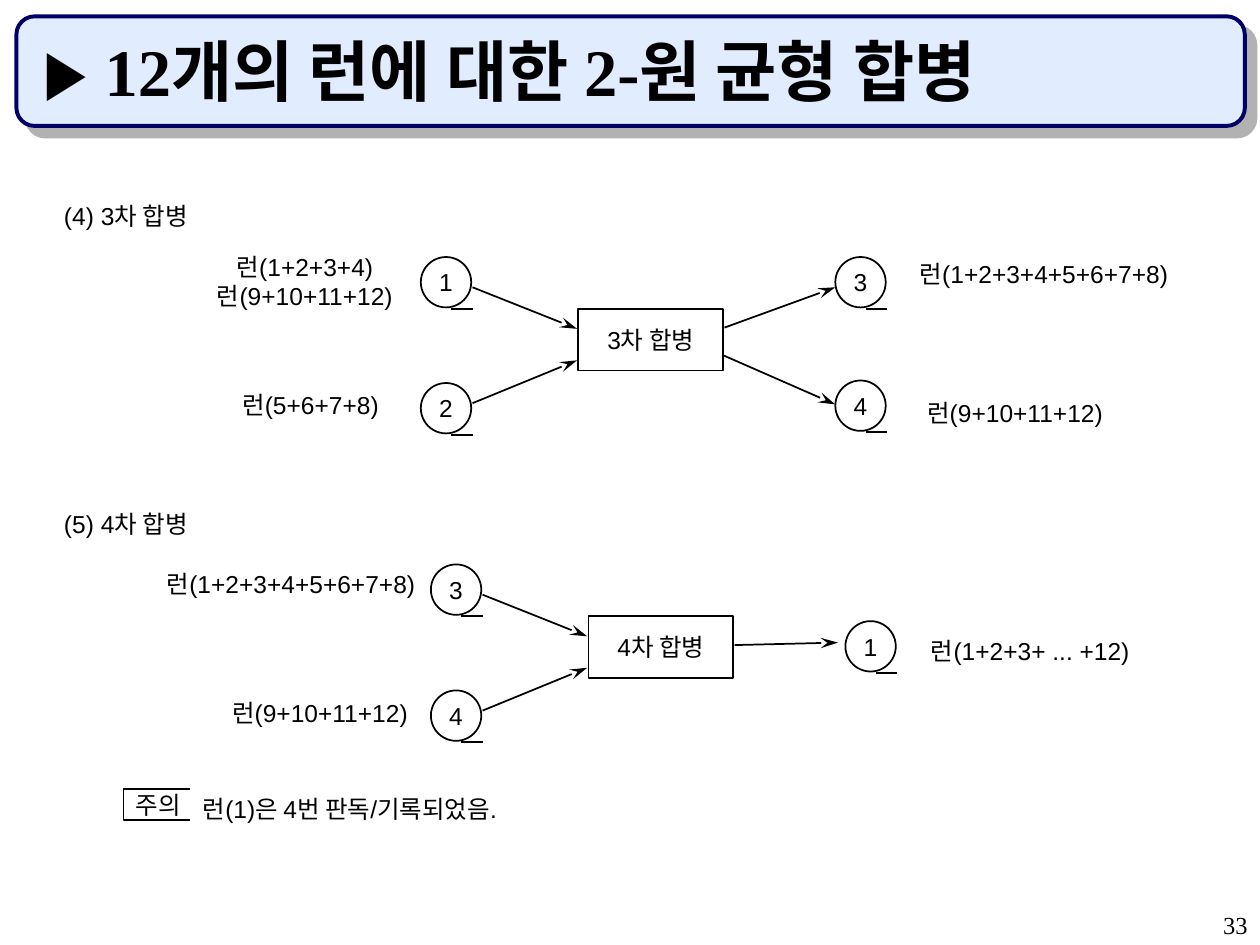
import pptx
import pptx.util
import pptx.dml.color
import pptx.enum.shapes
import pptx.enum.text
import pptx.oxml
import pptx.oxml.ns
import lxml.etree

Inches, Pt = pptx.util.Inches, pptx.util.Pt
SHAPE = pptx.enum.shapes.MSO_SHAPE
ALIGN = pptx.enum.text.PP_ALIGN
ANCHOR = pptx.enum.text.MSO_ANCHOR
LEFT, CENTER, RIGHT = ALIGN.LEFT, ALIGN.CENTER, ALIGN.RIGHT
BLACK, WHITE = "000000", "FFFFFF"

# Content
TITLE = "▶ 12개의 런에 대한 2-원 균형 합병"
PAGE = "33"
NOTE_TAG = "주의"
NOTE = "런(1)은 4번 판독/기록되었음."

# Labels: text, left, top, width, height, alignment
LABELS = [
    ("(4) 3차 합병", 0.41, 1.55, 1.24, 0.33, LEFT),
    ("런(1+2+3+4)\n런(9+10+11+12)", 1.59, 1.95, 1.66, 0.57, CENTER),
    ("런(5+6+7+8)", 1.8, 3.05, 1.33, 0.33, CENTER),
    ("런(1+2+3+4+5+6+7+8)", 7.2, 2.01, 2.22, 0.33, LEFT),
    ("런(9+10+11+12)", 7.26, 3.11, 1.66, 0.33, LEFT),
    ("(5) 4차 합병", 0.41, 3.99, 1.24, 0.33, LEFT),
    ("런(1+2+3+4+5+6+7+8)", 1.2, 4.47, 2.22, 0.33, CENTER),
    ("런(9+10+11+12)", 1.71, 5.49, 1.66, 0.33, CENTER),
    ("런(1+2+3+ ... +12)", 7.29, 5, 1.83, 0.33, LEFT),
]

# Merge stages; tapes and arrows are measured from the stage origin
STAGES = [
    dict(origin=(3.34, 2.04), name="3차 합병", inputs=("1", "2"),
         outputs=[("3", 3.29, 0), ("4", 3.29, 0.98)],
         out_arrows=[(2.41, 0.56, 3.29, 0.24), (2.4, 0.78, 3.29, 1.17)]),
    dict(origin=(3.42, 4.48), name="4차 합병", inputs=("3", "4"),
         outputs=[("1", 3.29, 0.45)],
         out_arrows=[(2.41, 0.64, 3.23, 0.62)]),
]
IN_ARROWS = [(0.41, 0.24, 1.24, 0.57), (0.41, 1.16, 1.24, 0.82)]
TAPE_SIZE, INPUT_GAP = 0.4, 1.0


def rgb(color):
    return pptx.dml.color.RGBColor.from_string(color)


def write(sp, text, align=CENTER, font="Arial", size=14, bold=False,
          anchor=ANCHOR.MIDDLE, wrap=False):
    tf = sp.text_frame
    tf.text = text
    tf.word_wrap = wrap
    tf.vertical_anchor = anchor
    for p in tf.paragraphs:
        p.alignment = align
        for r in p.runs:
            r.font.name, r.font.size, r.font.bold = font, Pt(size), bold
            r.font.color.rgb = rgb(BLACK)


def add_text(slide, text, x, y, w, h, align=LEFT, anchor=ANCHOR.TOP, **style):
    sp = slide.shapes.add_textbox(Inches(x), Inches(y), Inches(w), Inches(h))
    write(sp, text, align, anchor=anchor, **style)
    return sp


def add_box(slide, kind, x, y, w, h, fill=None, line=BLACK, width=1):
    sp = slide.shapes.add_shape(kind, Inches(x), Inches(y), Inches(w), Inches(h))
    sp.shadow.inherit = False
    if fill:
        sp.fill.solid()
        sp.fill.fore_color.rgb = rgb(fill)
    else:
        sp.fill.background()
    sp.line.color.rgb = rgb(line)
    sp.line.width = Pt(width)
    return sp


def add_line(slide, x1, y1, x2, y2, arrow=False):
    s = slide.shapes.add_connector(
        pptx.enum.shapes.MSO_CONNECTOR.STRAIGHT,
        Inches(x1), Inches(y1), Inches(x2), Inches(y2))
    s.line.color.rgb = rgb(BLACK)
    s.line.width = Pt(1)
    qn = pptx.oxml.ns.qn
    if arrow:
        ln = s.line._get_or_add_ln()
        lxml.etree.SubElement(ln, qn("a:tailEnd"), type="stealth", w="med", len="lg")
    lxml.etree.SubElement(s._element.spPr, qn("a:effectLst"))


def add_tape(slide, number, x, y):
    write(add_box(slide, SHAPE.OVAL, x, y, TAPE_SIZE, TAPE_SIZE), number)
    add_line(slide, x + 0.24, y + 0.41, x + 0.41, y + 0.41)


def add_stage(slide, origin, name, inputs, outputs, out_arrows):
    x, y = origin
    for i, number in enumerate(inputs):
        add_tape(slide, number, x, y + i * INPUT_GAP)
    write(add_box(slide, SHAPE.RECTANGLE, x + 1.25, y + 0.41, 1.15, 0.49), name)
    for number, dx, dy in outputs:
        add_tape(slide, number, x + dx, y + dy)
    for x1, y1, x2, y2 in IN_ARROWS + out_arrows:
        add_line(slide, x + x1, y + y1, x + x2, y + y2, arrow=True)


def add_banner(slide):
    sp = add_box(slide, SHAPE.ROUNDED_RECTANGLE, 0.13, 0.13, 9.75, 0.87,
                 "E1ECFF", "000066", 2.25)
    qn = pptx.oxml.ns.qn
    effects = sp._element.spPr.find(qn("a:effectLst"))
    shadow = lxml.etree.SubElement(effects, qn("a:outerShdw"), dist=str(Pt(8.5)),
                                   dir="2700000", algn="ctr", rotWithShape="0")
    lxml.etree.SubElement(shadow, qn("a:srgbClr"), val="B2B2B2")


def main():
    prs = pptx.Presentation()
    prs.slide_width, prs.slide_height = Inches(10), Inches(7.5)
    slide = prs.slides.add_slide(prs.slide_layouts[6])

    # Title and page number
    add_banner(slide)
    add_text(slide, TITLE, 0.25, 0.25, 9.42, 0.67, anchor=ANCHOR.BOTTOM,
             font="Times New Roman", size=38, bold=True, wrap=True)
    add_text(slide, PAGE, 7.92, 7.17, 2.08, 0.33, RIGHT,
             font="Times New Roman", wrap=True)

    # Merge diagrams
    for label in LABELS:
        add_text(slide, *label)
    for stage in STAGES:
        add_stage(slide, **stage)

    # Note
    write(add_box(slide, SHAPE.RECTANGLE, 0.98, 6.26, 0.55, 0.25, WHITE), NOTE_TAG)
    note = add_text(slide, NOTE, 1.51, 6.25, 2.89, 0.33)
    note.fill.solid()
    note.fill.fore_color.rgb = rgb(WHITE)

    prs.save("out.pptx")


if __name__ == "__main__":
    main()
